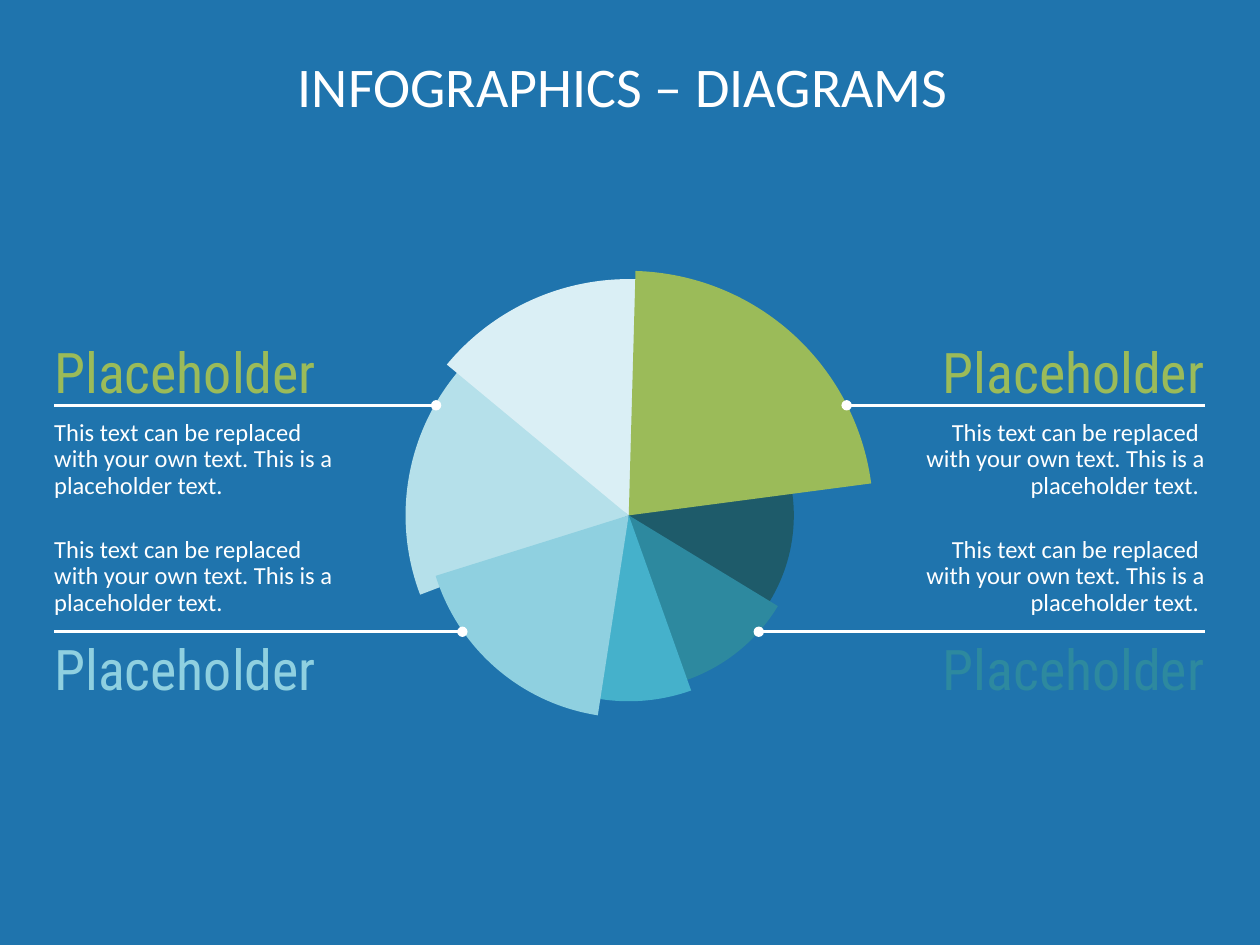
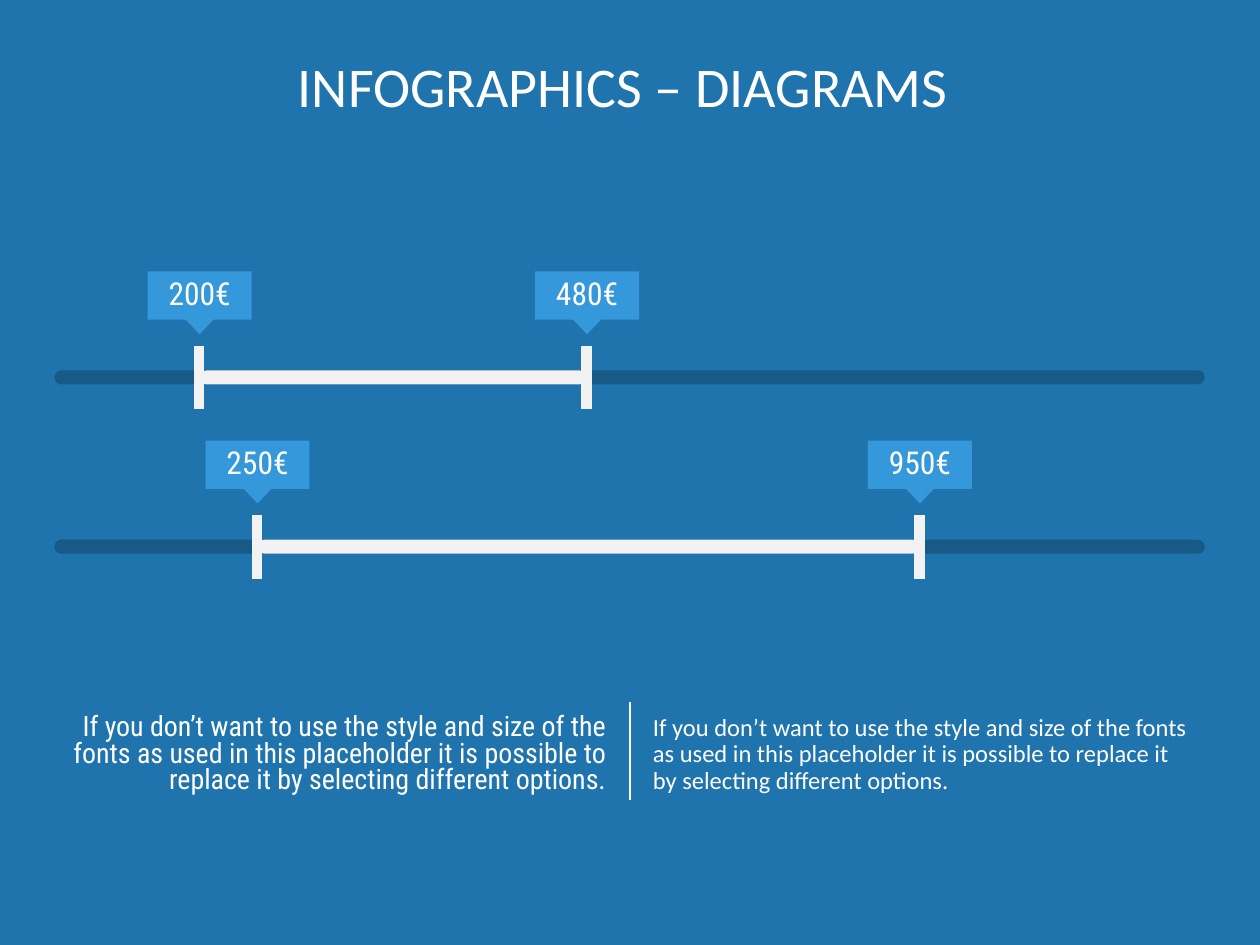
from copy import deepcopy

from lxml import etree
from pptx import Presentation
from pptx.dml.color import RGBColor
from pptx.enum import shapes, text
from pptx.oxml import ns
from pptx.util import Pt

BLUE = RGBColor(0x1F, 0x74, 0xAD)
WHITE = RGBColor(0xFF, 0xFF, 0xFF)
OFF_WHITE = RGBColor(0xF2, 0xF2, 0xF2)
TRACK_NAVY = RGBColor(0x14, 0x4D, 0x73)
LABEL_BLUE = RGBColor(0x34, 0x98, 0xDB)
GREEN = RGBColor(0x9B, 0xBB, 0x59)
DEEP_TEAL = RGBColor(0x1E, 0x5B, 0x6A)
TEAL = RGBColor(0x2D, 0x89, 0x9F)
CYAN = RGBColor(0x45, 0xB1, 0xCB)
SKY = RGBColor(0x8F, 0xD0, 0xE0)
PALE = RGBColor(0xB5, 0xE0, 0xEA)
ICE = RGBColor(0xDA, 0xEF, 0xF5)

BODY_FONT, HEAD_FONT = "Calibri", "Roboto Condensed"
LEFT, CENTER, RIGHT = text.PP_ALIGN.LEFT, text.PP_ALIGN.CENTER, text.PP_ALIGN.RIGHT
TOP, MIDDLE, BOTTOM = text.MSO_ANCHOR.TOP, text.MSO_ANCHOR.MIDDLE, text.MSO_ANCHOR.BOTTOM
SHAPE = shapes.MSO_SHAPE

TITLE = "INFOGRAPHICS – DIAGRAMS "
MARGIN_LEFT, MARGIN_RIGHT = 31, 688.5

PIE_CENTER = (359.3, 294.5)
WEDGES = [
    # radius, sweep, rotation, colour
    (127.5, 63.82, 313, PALE),
    (94.3, 46.53, 123, DEEP_TEAL),
    (99.7, 41.58, 162.9, TEAL),
    (106.2, 30.58, 191, CYAN),
    (115.6, 63.82, 252.6, SKY),
    (135, 53.94, 3.6, ICE),
    (139.7, 80.92, 82.5, GREEN),
]
HEADING = "Placeholder"
NOTE = "This text can be replaced \nwith your own text. This is a placeholder text."
NOTE_WIDTH = 168.5
UPPER_LINE, LOWER_LINE = 231.6, 361
CALLOUTS = [
    {"dot": 483.8, "line": UPPER_LINE, "align": RIGHT, "color": GREEN, "note": NOTE + " "},
    {"dot": 433.6, "line": LOWER_LINE, "align": RIGHT, "color": TEAL, "note": NOTE + " "},
    {"dot": 249.2, "line": UPPER_LINE, "align": LEFT, "color": GREEN, "note": NOTE},
    {"dot": 264.2, "line": LOWER_LINE, "align": LEFT, "color": SKY, "note": NOTE},
]

SLIDERS = [
    {"middle": 215.7, "stops": [(113.8, "200€"), (335.2, "480€")]},
    {"middle": 312.4, "stops": [(146.9, "250€"), (525.4, "950€")]},
]
TRACK_HEIGHT = 8
TICK_REACH = 18.2
ADVICE = ("If you don’t want to use the style and size of the fonts as used in this "
          "placeholder it is possible to replace it by selecting different options.")
ADVICE_COLUMNS = [
    (MARGIN_LEFT, RIGHT, HEAD_FONT, 16, 0.8),
    (366, LEFT, BODY_FONT, 14, 0.9),
]


def set_all(target, values):
    for name, value in values.items():
        setattr(target, name, value)


def write(box, words, font, size, color=WHITE, align=LEFT, anchor=TOP,
          insets=(0, 0, 0, 0), spacing=0.9, after=10):
    frame = box.text_frame
    sides = ("margin_left", "margin_top", "margin_right", "margin_bottom")
    set_all(frame, {"word_wrap": True, "auto_size": text.MSO_AUTO_SIZE.NONE,
                    "vertical_anchor": anchor,
                    **{side: Pt(inset) for side, inset in zip(sides, insets)}})
    para = frame.paragraphs[0]
    para.text = words
    set_all(para, {"alignment": align, "line_spacing": spacing, "space_after": Pt(after)})
    for span in para.runs:
        set_all(span.font, {"name": font, "size": Pt(size)})
        span.font.color.rgb = color
    for line_break in para._p.findall(ns.qn("a:br")):
        line_break.append(deepcopy(para.runs[0]._r.rPr))


def add_text(page, left, top, width, height, words, font, size, **style):
    box = page.shapes.add_textbox(Pt(left), Pt(top), Pt(width), Pt(height))
    write(box, words, font, size, **style)


def add_shape(page, kind, left, top, width, height, color, rotation=0, adjustments=()):
    shape = page.shapes.add_shape(kind, Pt(left), Pt(top), Pt(width), Pt(height))
    shape.shadow.inherit = False
    shape.fill.solid()
    shape.fill.fore_color.rgb = color
    shape.line.fill.background()
    shape.rotation = rotation
    for index, value in enumerate(adjustments):
        shape.adjustments[index] = value
    return shape


def add_line(page, start, end, color=WHITE, width=1.5, dot=False):
    line = page.shapes.add_connector(shapes.MSO_CONNECTOR.STRAIGHT,
                                     *(Pt(value) for value in (*start, *end)))
    line.line.color.rgb = color
    line.line.width = Pt(width)
    if dot:
        etree.SubElement(line.line._get_or_add_ln(), ns.qn("a:headEnd"), type="oval")
    etree.SubElement(line._element.spPr, ns.qn("a:effectLst"))


def add_page(deck):
    page = deck.slides.add_slide(deck.slide_layouts[5])
    title = page.shapes.title
    set_all(title, {"left": Pt(MARGIN_LEFT), "top": Pt(34),
                    "width": Pt(MARGIN_RIGHT - MARGIN_LEFT), "height": Pt(85)})
    write(title, TITLE, BODY_FONT, 32, align=CENTER, after=0)
    return page


def add_callout(page, dot, line, align, color, note):
    on_right = align == RIGHT
    left = MARGIN_RIGHT - NOTE_WIDTH if on_right else MARGIN_LEFT
    add_line(page, (dot, line), (MARGIN_RIGHT if on_right else MARGIN_LEFT, line), dot=True)
    above = {"anchor": BOTTOM, "align": align}
    below = {"anchor": TOP, "align": align}
    if line == UPPER_LINE:
        add_text(page, left, line - 50.5, NOTE_WIDTH, 50.5, HEADING, HEAD_FONT, 32,
                 color=color, **above)
        add_text(page, left, line, NOTE_WIDTH, 63.5, note, BODY_FONT, 14,
                 insets=(0, 8.6, 0, 0), **below)
    else:
        add_text(page, left, line, NOTE_WIDTH, 50.5, HEADING, HEAD_FONT, 32,
                 color=color, insets=(0, 5.8, 0, 0), **below)
        add_text(page, left, line - 52.5, NOTE_WIDTH, 52.5, note, BODY_FONT, 14,
                 insets=(0, 0, 0, 8.6), **above)


def add_pie_page(deck):
    page = add_page(deck)
    center_x, center_y = PIE_CENTER
    for radius, sweep, rotation, color in WEDGES:
        add_shape(page, SHAPE.PIE, center_x - radius, center_y - radius, 2 * radius,
                  2 * radius, color, rotation, ((270 - sweep) * 0.6, 162))
    for callout in CALLOUTS:
        add_callout(page, **callout)


def add_bar(page, start, end, middle, color):
    return add_shape(page, SHAPE.ROUNDED_RECTANGLE, start, middle - TRACK_HEIGHT / 2,
                     end - start, TRACK_HEIGHT, color, adjustments=(0.5,))


def add_slider(page, middle, stops):
    track = add_bar(page, MARGIN_LEFT, MARGIN_RIGHT, middle, TRACK_NAVY)
    tint = track._element.spPr.find(".//" + ns.qn("a:srgbClr"))
    etree.SubElement(tint, ns.qn("a:alpha"), val="65000")
    add_bar(page, stops[0][0], stops[-1][0], middle, OFF_WHITE)
    for x, price in stops:
        add_line(page, (x, middle - TICK_REACH), (x, middle + TICK_REACH), OFF_WHITE, 6)
        add_shape(page, SHAPE.ISOSCELES_TRIANGLE, x - 15.6, middle - 41.3, 31.7, 16.6,
                  LABEL_BLUE, 180)
        label = add_shape(page, SHAPE.RECTANGLE, x - 29.4, middle - 60.6, 59.4, 27.6, LABEL_BLUE)
        write(label, price, HEAD_FONT, 18, align=CENTER, anchor=MIDDLE, insets=(3,) * 4)


def add_slider_page(deck):
    page = add_page(deck)
    for left, align, font, size, spacing in ADVICE_COLUMNS:
        add_text(page, left, 405.5, 322.5, 52, ADVICE, font, size, align=align,
                 anchor=MIDDLE, insets=(7.2, 3.6, 7.2, 3.6), spacing=spacing)
    add_line(page, (360, 401), (360, 457))
    for slider in SLIDERS:
        add_slider(page, **slider)


def main():
    deck = Presentation()
    set_all(deck, {"slide_width": Pt(720), "slide_height": Pt(540)})
    backdrop = deck.slide_master.background.fill
    backdrop.solid()
    backdrop.fore_color.rgb = BLUE
    add_pie_page(deck)
    add_slider_page(deck)
    deck.save("out.pptx")


if __name__ == "__main__":
    main()
